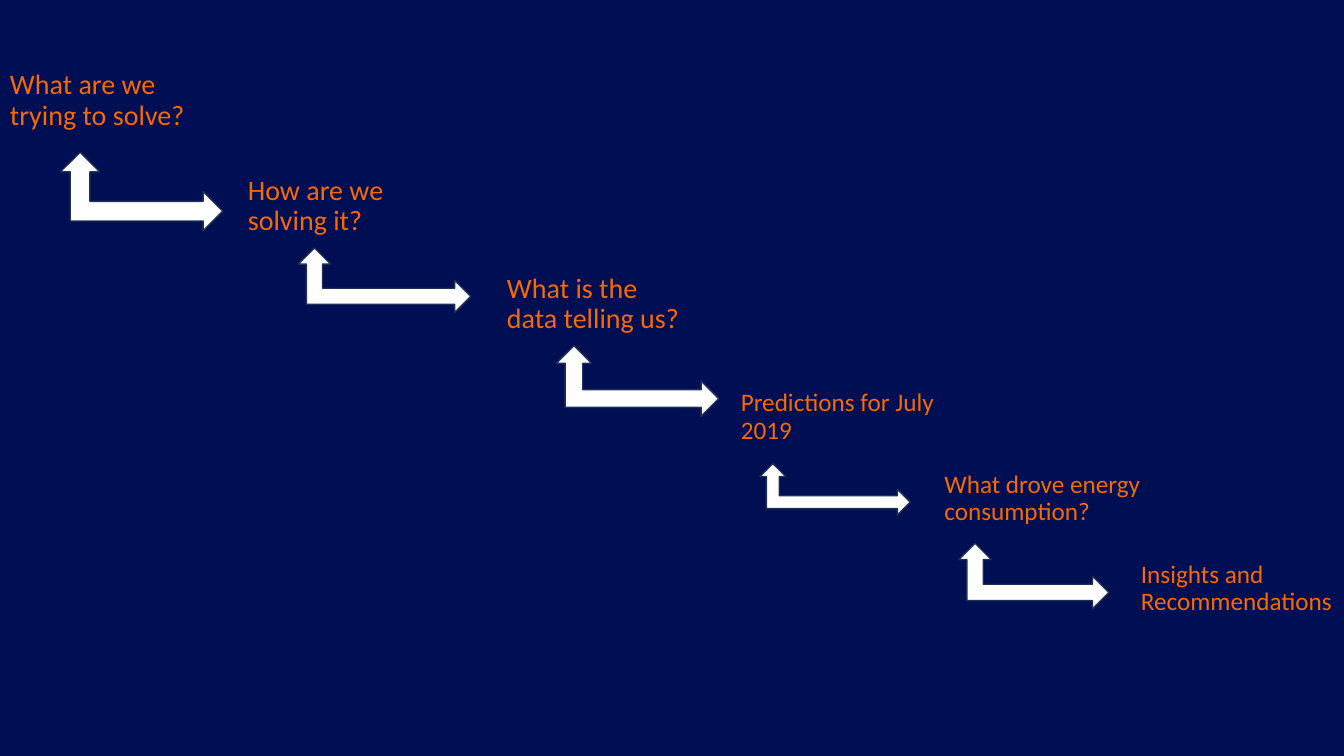
from pptx import Presentation
from pptx.dml.color import RGBColor
from pptx.enum.shapes import MSO_SHAPE
from pptx.enum.text import MSO_ANCHOR
from pptx.util import Inches, Pt

SLIDE_WIDTH = Inches(13.33)
SLIDE_HEIGHT = Inches(7.5)
NAVY, ORANGE, WHITE, SLATE = "000E53", "F86900", "FFFFFF", "1E3256"
STEP_HEIGHT = 19.47

# left, top, width as percentages of the slide, then size in points
STEPS = [
    ("What are we trying to solve?", 0, 3.6, 14.63, 20),
    ("How are we solving it?", 17.7, 17.6, 14.63, 20),
    ("What is the data telling us?", 36.98, 30.53, 14.63, 20),
    ("Predictions for July 2019", 54.38, 45.47, 18.9, 18),
    ("What drove energy consumption?", 69.53, 56.27, 18, 18),
    ("Insights and Recommendations", 84.15, 68.13, 18, 18),
]
ARROWS = [
    (4.5, 20.13, 12.08, 10.4),
    (22.2, 32.8, 12.83, 8.53),
    (41.4, 45.73, 12.08, 9.33),
    (56.55, 61.33, 11.18, 6.8),
    (71.33, 71.87, 11.18, 8.67),
]


def color(hex_string):
    return RGBColor.from_string(hex_string)


def area(left, top, width, height):
    return (
        int(SLIDE_WIDTH * left / 100),
        int(SLIDE_HEIGHT * top / 100),
        int(SLIDE_WIDTH * width / 100),
        int(SLIDE_HEIGHT * height / 100),
    )


def paint_background(slide):
    fill = slide.background.fill
    fill.solid()
    fill.fore_color.rgb = color(NAVY)


def add_step(slide, text, left, top, width, size):
    box = slide.shapes.add_textbox(*area(left, top, width, STEP_HEIGHT))
    frame = box.text_frame
    frame.word_wrap = True
    frame.vertical_anchor = MSO_ANCHOR.MIDDLE
    paragraph = frame.paragraphs[0]
    paragraph.line_spacing = 0.9
    run = paragraph.add_run()
    run.text = text
    run.font.name = "Calibri"
    run.font.size = Pt(size)
    run.font.color.rgb = color(ORANGE)


def add_arrow(slide, left, top, width, height):
    shape = slide.shapes.add_shape(
        MSO_SHAPE.LEFT_UP_ARROW, *area(left, top, width, height)
    )
    shape._element.spPr.xfrm.set("flipH", "1")
    shape.shadow.inherit = False
    shape.fill.solid()
    shape.fill.fore_color.rgb = color(WHITE)
    shape.line.color.rgb = color(SLATE)
    shape.line.width = Pt(1)


def main():
    presentation = Presentation()
    presentation.slide_width = SLIDE_WIDTH
    presentation.slide_height = SLIDE_HEIGHT
    slide = presentation.slides.add_slide(presentation.slide_layouts[6])
    paint_background(slide)
    for step in STEPS:
        add_step(slide, *step)
    for arrow in ARROWS:
        add_arrow(slide, *arrow)
    presentation.save("out.pptx")


if __name__ == "__main__":
    main()
